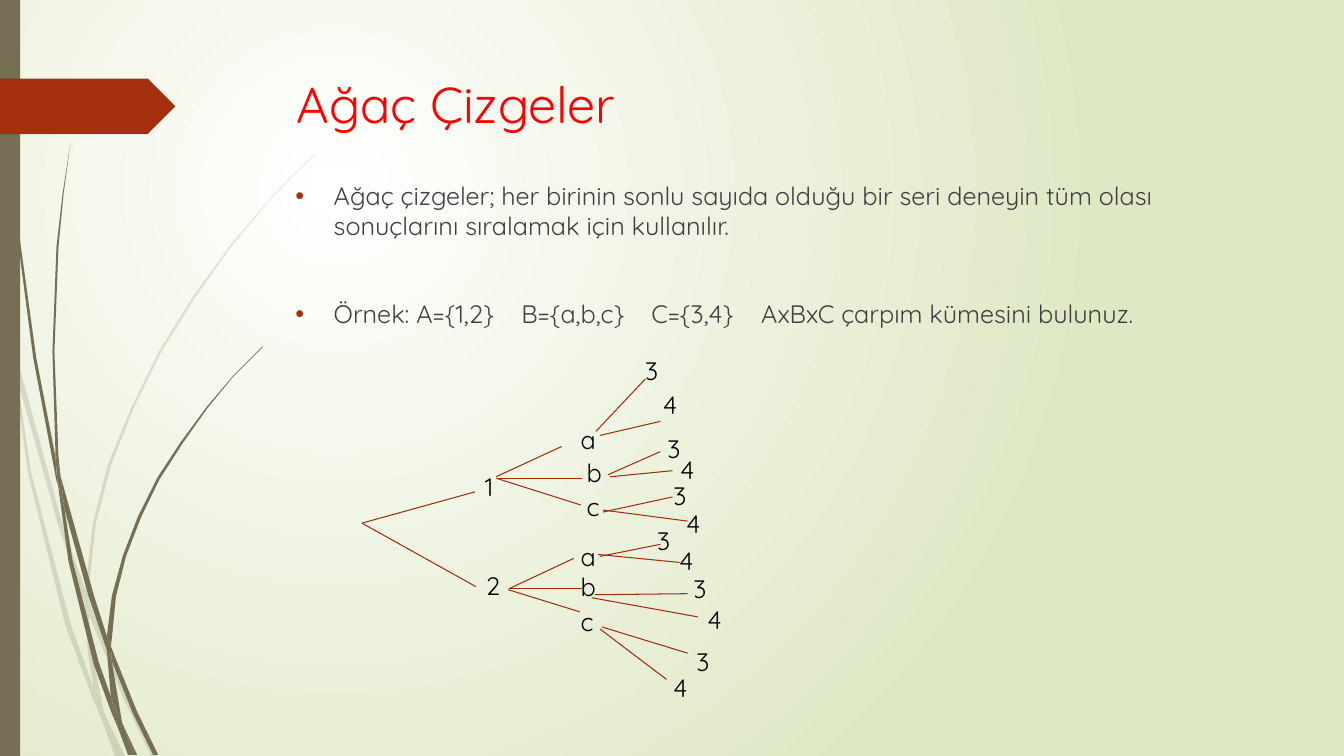
from lxml.etree import SubElement
from pptx import Presentation
from pptx.dml.color import RGBColor
from pptx.enum.shapes import MSO_CONNECTOR, MSO_SHAPE
from pptx.enum.text import MSO_ANCHOR, MSO_AUTO_SIZE, PP_ALIGN
from pptx.oxml.ns import qn
from pptx.util import Pt

PX = 9144  # 100 px to the inch
COLORS = {"paper": "FFFFFF", "edge": "DFE8C4", "stem": "766F54", "accent": "A53010",
          "branch": "9E2E0F", "title": "FF0000", "body": "404040", "label": "000000"}
TITLE_FONT = {"name": "Quicksand", "size": Pt(36), "bold": False}
TEXT_FONT = {"name": "Quicksand", "size": Pt(18), "bold": False}
FRAME = {"word_wrap": True, "vertical_anchor": MSO_ANCHOR.TOP, "auto_size": MSO_AUTO_SIZE.NONE}
BULLET_INDENT = 38
EXAMPLE_TABS = (224, 353, 462)

PALE_STEMS = [
    [(11, 350), (9, 322), (0, 282), (0, 299), (10, 344)],
    [(58, 522), (84, 599), (85, 586), (62, 520), (14, 345), (17, 376)],
    [(92, 607), (88, 596), (88, 610), (123, 694), (150, 750), (155, 750), (127, 692)],
    [(119, 750), (124, 750), (105, 711)],
    [(93, 683), (70, 619), (31, 469), (17, 376), (11, 350), (28, 470), (65, 621),
     (92, 693), (101, 714), (99, 707)],
    [(84, 599), (87, 646), (93, 683), (96, 692), (105, 711), (103, 706), (91, 646), (88, 610)],
    [(88, 584), (95, 520), (110, 462), (133, 404), (160, 349), (193, 296), (229, 245),
     (268, 198), (290, 175), (312, 154), (312, 153), (289, 175), (268, 197), (228, 244),
     (191, 295), (158, 348), (131, 403), (107, 461), (92, 520), (85, 584), (85, 586), (88, 596)],
    [(101, 714), (114, 750), (119, 750)],
    [(88, 608), (88, 596), (85, 586), (84, 599)],
    [(96, 692), (93, 683), (99, 707), (101, 714), (119, 750), (105, 711)],
]
DARK_STEMS = [
    [(7, 110), (17, 233), (33, 355), (56, 477), (57, 481), (55, 453), (36, 355), (19, 232),
     (8, 109), (5, 48), (4, 0), (3, 0), (4, 48)],
    [(88, 592), (106, 645), (106, 631), (93, 590), (60, 472), (64, 505)],
    [(113, 649), (110, 641), (111, 656), (132, 708), (152, 749), (157, 749), (136, 706)],
    [(110, 691), (98, 657), (72, 556), (64, 505), (57, 477), (68, 557), (93, 659),
     (111, 708), (117, 722), (116, 717)],
    [(60, 472), (58, 453), (54, 349), (58, 245), (63, 193), (70, 141), (62, 193), (56, 245),
     (52, 349), (55, 449)],
    [(133, 749), (136, 749), (122, 719)],
    [(57, 477), (64, 505), (60, 472), (55, 449), (55, 453)],
    [(111, 633), (115, 592), (125, 552), (140, 513), (158, 476), (181, 440), (205, 406),
     (231, 374), (261, 344), (260, 344), (231, 373), (204, 405), (179, 439), (156, 474),
     (137, 512), (122, 551), (111, 591), (106, 631), (110, 641)],
    [(117, 722), (127, 749), (131, 749)],
    [(106, 645), (110, 691), (116, 706), (122, 719), (121, 716), (111, 656), (109, 651)],
    [(106, 645), (109, 651), (111, 656), (110, 641), (106, 631)],
    [(116, 706), (110, 691), (116, 717), (117, 722), (130, 749), (133, 749), (122, 719)],
]
# label, its box corner, start and end of the branch that leads to it
TREE = [
    ("1", (471, 463), (359, 519), (471, 488)),
    ("a", (566, 416), (492, 473), (557, 443)),
    ("3", (630, 348), (591, 428), (640, 376)),
    ("4", (648, 381), (595, 432), (655, 418)),
    ("b", (572, 449), (492, 475), (577, 475)),
    ("3", (652, 425), (603, 471), (655, 448)),
    ("4", (665, 446), (605, 473), (667, 467)),
    ("c", (572, 482), (494, 475), (576, 501)),
    ("3", (658, 472), (598, 508), (667, 493)),
    ("4", (671, 499), (598, 506), (682, 517)),
    ("2", (472, 561), (359, 519), (472, 582)),
    ("a", (566, 532), (505, 584), (569, 554)),
    ("3", (642, 516), (595, 552), (655, 540)),
    ("4", (664, 536), (593, 550), (674, 558)),
    ("b", (566, 562), (505, 584), (577, 584)),
    ("3", (678, 564), (590, 590), (682, 589)),
    ("4", (692, 595), (587, 593), (692, 612)),
    ("c", (566, 597), (504, 585), (575, 607)),
    ("3", (681, 636), (597, 622), (682, 648)),
    ("4", (658, 662), (595, 624), (661, 674)),
]


def emu(*lengths):
    return [length * PX for length in lengths]


def color(name):
    return RGBColor.from_string(COLORS[name])


def set_values(target, values):
    for name, value in values.items():
        setattr(target, name, value)


def paint_background(slide):
    """Circular gradient centred in the upper left quarter."""
    fill = slide.background.fill
    fill.gradient()
    for stop, name, position in zip(fill.gradient_stops, ("paper", "edge"), (0, 1)):
        stop.color.rgb = color(name)
        stop.position = position
    gradient = next(slide.element.iter(qn("a:gradFill")))
    gradient.remove(gradient.find(qn("a:lin")))
    circle = SubElement(gradient, qn("a:path"), path="circle")
    SubElement(circle, qn("a:fillToRect"), l="50000", t="50000", r="100000", b="100000")


def fill_plain(shape, name):
    shape.shadow.inherit = False
    shape.fill.solid()
    shape.fill.fore_color.rgb = color(name)
    shape.line.fill.background()


def add_stems(slide, outlines, opacity=100):
    group = slide.shapes.add_group_shape()
    for first, *others in outlines:
        builder = group.shapes.build_freeform(*first, scale=PX)
        builder.add_line_segments(others, close=True)
        stem = builder.convert_to_shape()
        fill_plain(stem, "stem")
        if opacity < 100:
            fill_color = next(stem.element.spPr.iter(qn("a:srgbClr")))
            SubElement(fill_color, qn("a:alpha"), val=str(opacity * 1000))


def add_block(slide, kind, box):
    fill_plain(slide.shapes.add_shape(kind, *emu(*box)), "stem" if box[1] == 0 else "accent")


def place(placeholder, box):
    set_values(placeholder, dict(zip(("left", "top", "width", "height"), emu(*box))))
    set_values(placeholder.text_frame, FRAME)


def write(paragraph, text, font, color_name):
    paragraph.alignment = PP_ALIGN.LEFT
    run = paragraph.add_run()
    run.text = text
    set_values(run.font, font)
    run.font.color.rgb = color(color_name)


def add_bullet(paragraph, text, space_before, tabs=()):
    write(paragraph, text, TEXT_FONT, "body")
    paragraph.space_before = Pt(space_before)
    properties = paragraph._p.get_or_add_pPr()
    properties.set("marL", str(BULLET_INDENT * PX))
    properties.set("indent", str(-BULLET_INDENT * PX))
    bullet_color = SubElement(properties, qn("a:buClr"))
    SubElement(bullet_color, qn("a:srgbClr"), val=COLORS["accent"])
    SubElement(properties, qn("a:buFont"), typeface="Arial")
    SubElement(properties, qn("a:buChar"), char="•")
    if tabs:
        tab_list = SubElement(properties, qn("a:tabLst"))
        for position in tabs:
            SubElement(tab_list, qn("a:tab"), pos=str(position * PX), algn="l")


def add_branch(slide, start, end):
    branch = slide.shapes.add_connector(MSO_CONNECTOR.STRAIGHT, *emu(*start, *end))
    branch.line.color.rgb = color("branch")
    branch.line.width = Pt(0.75)
    SubElement(branch._element.spPr, qn("a:effectLst"))


def add_label(slide, text, corner):
    label = slide.shapes.add_textbox(*emu(*corner, 46, 41))
    set_values(label.text_frame, FRAME)
    write(label.text_frame.paragraphs[0], text, TEXT_FONT, "label")


def main():
    presentation = Presentation()
    presentation.slide_width, presentation.slide_height = emu(1333, 750)
    slide = presentation.slides.add_slide(presentation.slide_layouts[1])
    paint_background(slide)
    add_stems(slide, PALE_STEMS, opacity=20)
    add_stems(slide, DARK_STEMS)
    add_block(slide, MSO_SHAPE.RECTANGLE, (0, 0, 20, 750))
    add_block(slide, MSO_SHAPE.PENTAGON, (0, 78, 174, 55))

    title, body = slide.placeholders
    place(title, (284, 68, 975, 85))
    write(title.text_frame.paragraphs[0], "Ağaç Çizgeler", TITLE_FONT, "title")
    place(body, (283, 174, 975, 472))
    add_bullet(body.text_frame.paragraphs[0],
               "Ağaç çizgeler; her birinin sonlu sayıda olduğu bir seri deneyin "
               "tüm olası sonuçlarını sıralamak için kullanılır.", 10)
    add_bullet(body.text_frame.add_paragraph(),
               "Örnek: A={1,2}\tB={a,b,c}\tC={3,4}\tAxBxC çarpım kümesini bulunuz.",
               41, EXAMPLE_TABS)

    for text, corner, start, end in TREE:
        add_branch(slide, start, end)
        add_label(slide, text, corner)
    presentation.save("out.pptx")


if __name__ == "__main__":
    main()
